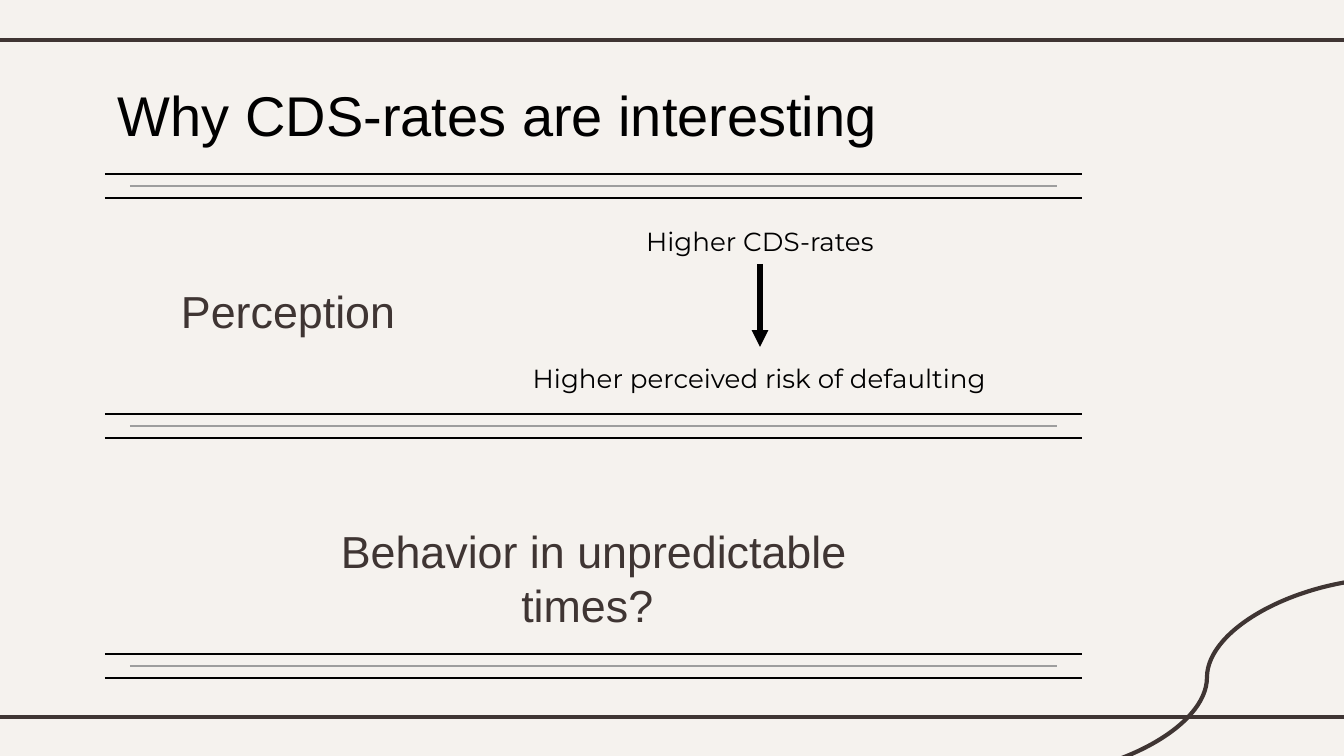
from lxml import etree
from pptx import Presentation
from pptx.dml.color import RGBColor
from pptx.enum.shapes import MSO_CONNECTOR
from pptx.enum.text import MSO_ANCHOR, MSO_AUTO_SIZE, PP_ALIGN
from pptx.oxml.ns import qn
from pptx.util import Emu, Pt

STRAIGHT, CURVE = MSO_CONNECTOR.STRAIGHT, MSO_CONNECTOR.CURVE
TOP, NO_FIT = MSO_ANCHOR.TOP, MSO_AUTO_SIZE.NONE
LEFT, CENTER = PP_ALIGN.LEFT, PP_ALIGN.CENTER
COLORS = {"paper": "F5F2EE", "brown": "3F3533", "black": "000000", "gray": "9E9E9E"}
EMU_PER_PX = 914400 / 134.4
INSET = 13


def px(length):
    """Turn pixels into EMU."""
    return Emu(round(length * EMU_PER_PX))


def color(name):
    """Look up a colour of the slide."""
    return RGBColor.from_string(COLORS[name])


def add_line(shapes, start, end, ink, weight, kind=STRAIGHT):
    """Add a line without shadow between two points."""
    line = shapes.add_connector(kind, *map(px, start + end))
    line.line.color.rgb = color(ink)
    line.line.width = Pt(weight)
    etree.SubElement(line._element.spPr, qn("a:effectLst"))
    return line


def add_arrow(shapes, start, end, ink, weight):
    """Add a line with a triangular head at its end."""
    arrow = add_line(shapes, start, end, ink, weight)
    outline = arrow._element.spPr.find(qn("a:ln"))
    etree.SubElement(outline, qn("a:tailEnd"), type="triangle")


def add_divider(page, top):
    """Add a group of two long rules around a shorter gray one."""
    shapes = page.shapes.add_group_shape().shapes
    rules = [(105, 1082, "black"), (130, 1057, "gray"), (105, 1082, "black")]
    for row, (left, right, ink) in enumerate(rules):
        y = top + 12 * row
        add_line(shapes, (left, y), (right, y), ink, 0.75)


def write(box, text, size, ink, font="Arial", align=CENTER):
    """Fill a box with one formatted paragraph."""
    frame = box.text_frame
    frame.word_wrap = True
    frame.auto_size = NO_FIT
    frame.vertical_anchor = TOP
    frame.margin_left = frame.margin_right = frame.margin_bottom = px(INSET)
    frame.margin_top = px(INSET)
    para = frame.paragraphs[0]
    para.text = text
    para.alignment = align
    para.space_before = Pt(0)
    para.font.name = font
    para.font.size = Pt(size)
    para.font.color.rgb = color(ink)
    if font == "Arial":
        para.line_spacing = Pt(1.2 * size)
        frame.margin_top = px(INSET + 2)


def add_title(page, text, left, top, width, height):
    """Place and fill the title placeholder."""
    title = page.shapes.title
    title.left, title.top, title.width, title.height = map(px, (left, top, width, height))
    write(title, text, 30, "black", align=LEFT)


def add_text(page, text, place, size, ink, font="Arial"):
    """Add a centred text box."""
    box = page.shapes.add_textbox(*map(px, place))
    write(box, text, size, ink, font)


def main():
    """Build and save the slide."""
    deck = Presentation()
    deck.slide_width, deck.slide_height = px(1344), px(756)
    page = deck.slides.add_slide(deck.slide_layouts[5])
    page.background.fill.solid()
    page.background.fill.fore_color.rgb = color("paper")

    for y in (40, 717):
        add_line(page.shapes, (-11, y), (1355, y), "brown", 2.25)
    add_line(page.shapes, (1394, 578), (1020, 777), "brown", 2.25, CURVE)

    add_title(page, "Why CDS-rates are interesting", 105, 66, 835, 85)
    add_text(page, "Perception", (105, 269, 366, 74), 24, "brown")
    add_text(page, "Higher CDS-rates", (623, 212, 274, 52), 14, "black", "Montserrat")
    add_arrow(page.shapes, (760, 264), (760, 347), "black", 3)
    add_text(page, "Higher perceived risk of defaulting", (416, 349, 687, 52), 14, "black", "Montserrat")
    for top in range(174, 655, 240):
        add_divider(page, top)
    add_text(page, "Behavior in unpredictable times? ", (258, 509, 671, 74), 24, "brown")
    deck.save("out.pptx")


if __name__ == "__main__":
    main()
